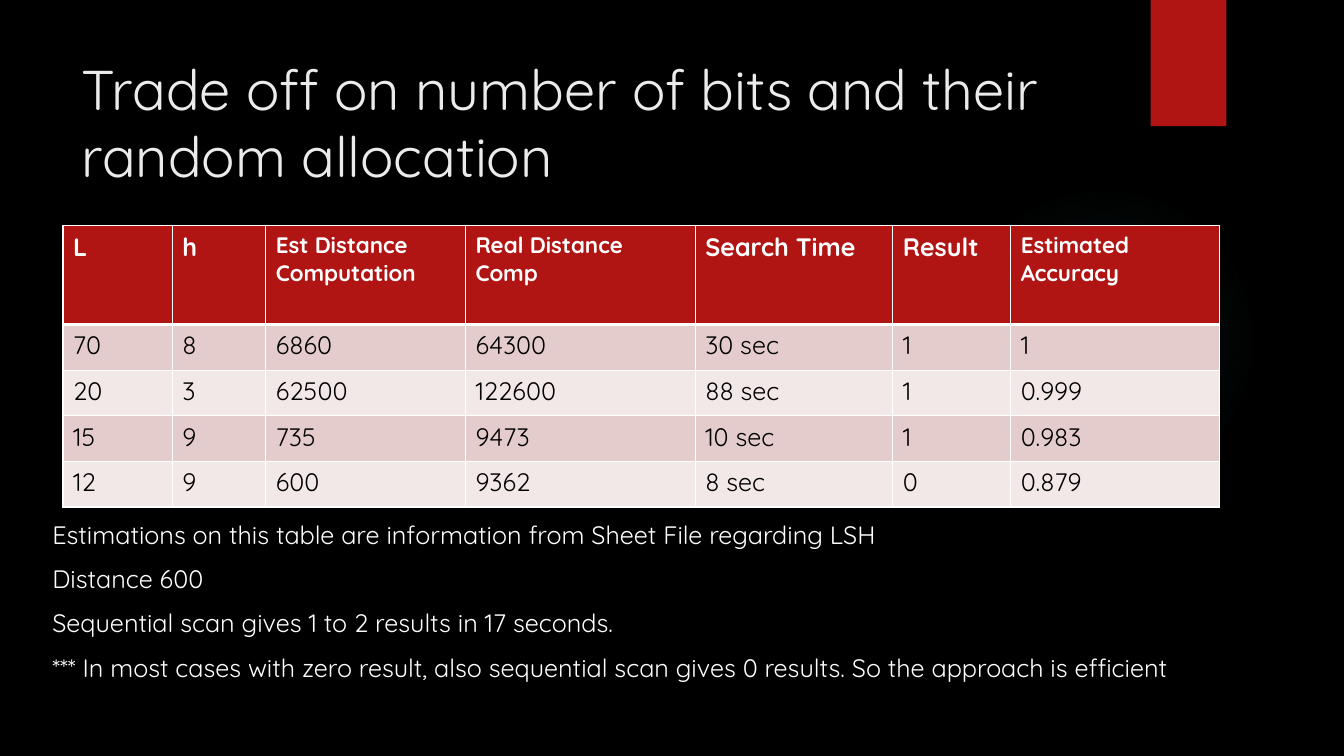
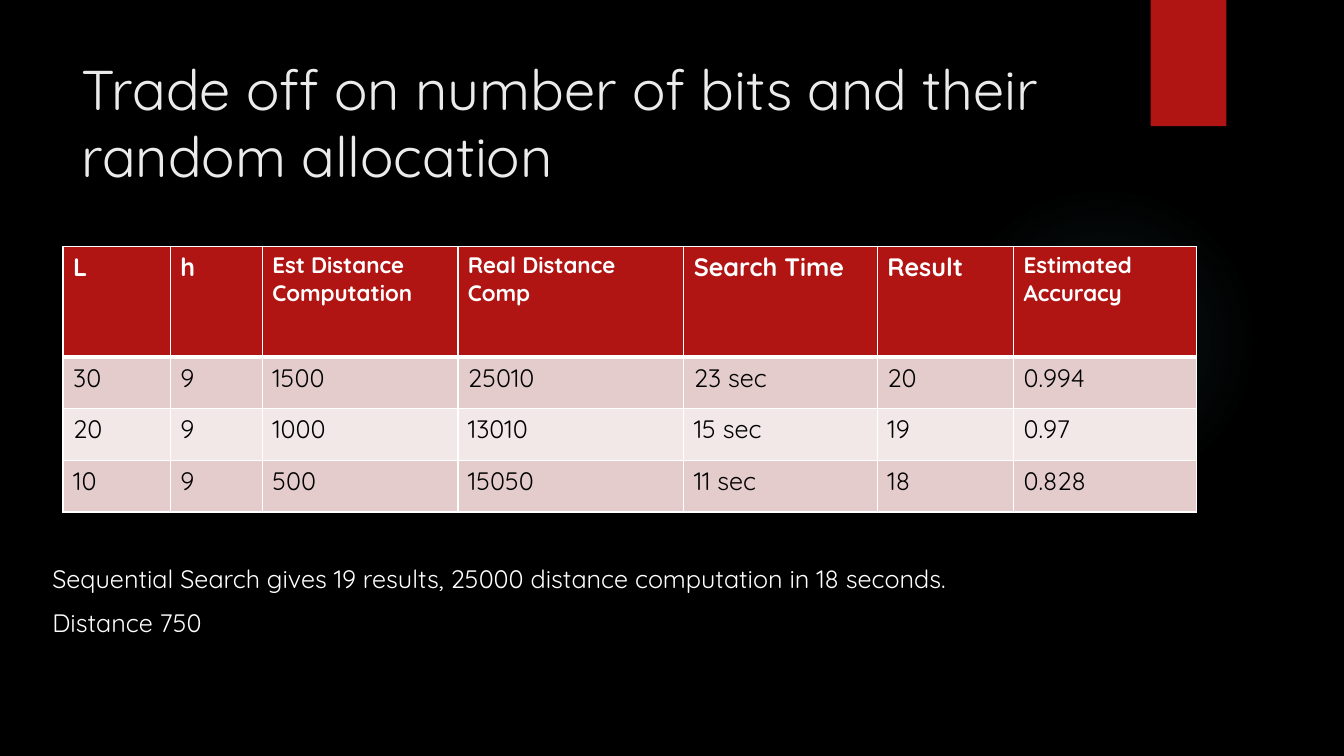
import lxml.etree
import pptx
import pptx.dml.color
import pptx.enum.shapes
import pptx.oxml
import pptx.oxml.ns
import pptx.util

Cm = pptx.util.Cm
Pt = pptx.util.Pt

FONT = "Quicksand"
BLACK, WHITE, TITLE_COLOUR = "000000", "FFFFFF", "EBEBEB"
RED, GLOW = "B01513", "50B9C1"
BAND_COLOURS = ("E4CCCC", "F2E8E7")
GLOW_STOPS = ((0, 7), (36, 6), (69, 0))  # position and opacity, per cent

TITLE = "Trade off on number of bits and their random allocation"
HEADINGS = (
    ("L", 18),
    ("h", 18),
    ("Est Distance Computation", 16),
    ("Real Distance Comp", 16),
    ("Search Time", 18),
    ("Result", 18),
    ("Estimated Accuracy", 16),
)

# Boxes are left, top, width, height in centimetres.
GLOW_BOX = (23.9, 4.65, 7.82, 7.82)
RIBBON_BOX = (29, 0, 1.91, 3.18)
TITLE_BOX = (1.8, 1.25, 26.14, 3.89)

SLIDES = (
    {
        "table_at": (1.59, 5.69),
        "columns": (2.75, 2.36, 5.03, 5.79, 4.98, 2.97, 5.26),
        "header_height": 2.49,
        "row_height": 1.15,
        "rows": (
            ("70", "8", "6860", "64300", "30 sec", "1", "1"),
            ("20", "3", "62500", "122600", "88 sec", "1", "0.999"),
            ("15", "9", "735", "9473", "10 sec", "1", "0.983"),
            ("12", "9", "600", "9362", "8 sec", "0", "0.879"),
        ),
        "notes_box": (1.07, 12.96, 30.68, 5.5),
        "notes": (
            "Estimations on this table are information from Sheet File regarding LSH",
            "Distance 600",
            "Sequential scan gives 1 to 2 results in 17 seconds.",
            "*** In most cases with zero result, also sequential scan gives 0 results. "
            "So the approach is efficient",
        ),
    },
    {
        "table_at": (1.59, 6.21),
        "columns": (2.7, 2.32, 4.93, 5.69, 4.88, 3.43, 4.62),
        "header_height": 2.79,
        "row_height": 1.3,
        "rows": (
            ("30", "9", "1500", "25010", "23 sec", "20", "0.994"),
            ("20", "9", "1000", "13010", "15 sec", "19", "0.97"),
            ("10", "9", "500", "15050", "11 sec", "18", "0.828"),
        ),
        "notes_box": (1.07, 14.07, 30.68, 4.39),
        "notes": (
            "Sequential Search gives 19 results, 25000 distance computation in 18 seconds.",
            "Distance 750",
        ),
    },
)


def colour(hex_string):
    return pptx.dml.color.RGBColor.from_string(hex_string)


def fill_solid(target, hex_string):
    target.fill.solid()
    target.fill.fore_color.rgb = colour(hex_string)


def style_paragraph(paragraph, size, hex_string, bold=False):
    paragraph.font.name = FONT
    paragraph.font.size = Pt(size)
    paragraph.font.bold = bold
    paragraph.font.color.rgb = colour(hex_string)


def add_plain_shape(slide, kind, box):
    """Add a preset shape without line or shadow."""
    shape = slide.shapes.add_shape(kind, *map(Cm, box))
    shape.shadow.inherit = False
    shape.line.fill.background()
    return shape


def add_glow(slide, box):
    """Add a disc that fades out from its centre."""
    shape = add_plain_shape(slide, pptx.enum.shapes.MSO_SHAPE.OVAL, box)
    stops = "".join(
        f'<a:gs pos="{position * 1000}"><a:srgbClr val="{GLOW}">'
        f'<a:alpha val="{opacity * 1000}"/></a:srgbClr></a:gs>'
        for position, opacity in GLOW_STOPS
    )
    gradient = pptx.oxml.parse_xml(
        f'<a:gradFill {pptx.oxml.ns.nsdecls("a")} rotWithShape="1"><a:gsLst>{stops}</a:gsLst>'
        '<a:path path="circle"><a:fillToRect l="50000" t="50000" r="50000" b="50000"/></a:path>'
        "</a:gradFill>"
    )
    properties = shape.element.spPr
    properties.find(pptx.oxml.ns.qn("a:prstGeom")).addnext(gradient)


def add_ribbon(slide, box):
    shape = add_plain_shape(slide, pptx.enum.shapes.MSO_SHAPE.RECTANGLE, box)
    fill_solid(shape, RED)


def add_text(slide, box, lines, size, hex_string, gap=0):
    """Add a wrapping text box, one paragraph a line, with gap points between them."""
    frame = slide.shapes.add_textbox(*map(Cm, box)).text_frame
    frame.word_wrap = True
    frame.text = "\n".join(lines)
    for paragraph in frame.paragraphs:
        style_paragraph(paragraph, size, hex_string)
        paragraph.space_after = Pt(gap)


def set_borders(cell, top, bottom):
    """Draw white borders; top and bottom widths are in points."""
    properties = cell._tc.get_or_add_tcPr()
    for side, width in (("L", 1), ("R", 1), ("T", top), ("B", bottom)):
        line = lxml.etree.SubElement(
            properties, pptx.oxml.ns.qn(f"a:ln{side}"), w=str(Pt(width))
        )
        fill = lxml.etree.SubElement(line, pptx.oxml.ns.qn("a:solidFill"))
        lxml.etree.SubElement(fill, pptx.oxml.ns.qn("a:srgbClr"), val=WHITE)


def fill_cell(cell, text, size, text_colour, background, bold=False, top=1, bottom=1):
    cell.text = text
    style_paragraph(cell.text_frame.paragraphs[0], size, text_colour, bold)
    set_borders(cell, top, bottom)
    fill_solid(cell, background)


def add_results_table(slide, position, columns, header_height, row_height, rows):
    heights = [header_height] + [row_height] * len(rows)
    table = slide.shapes.add_table(
        len(heights), len(columns), *map(Cm, (*position, sum(columns), sum(heights)))
    ).table
    for column, width in zip(table.columns, columns):
        column.width = Cm(width)
    for row, height in zip(table.rows, heights):
        row.height = Cm(height)
    for index, (heading, size) in enumerate(HEADINGS):
        fill_cell(table.cell(0, index), heading, size, WHITE, RED, bold=True, bottom=3)
    for row_index, values in enumerate(rows, 1):
        background = BAND_COLOURS[(row_index - 1) % 2]
        top = 3 if row_index == 1 else 1
        for index, value in enumerate(values):
            fill_cell(table.cell(row_index, index), value, 18, BLACK, background, top=top)


def add_results_slide(presentation, content):
    slide = presentation.slides.add_slide(presentation.slide_layouts[6])
    add_glow(slide, GLOW_BOX)
    add_ribbon(slide, RIBBON_BOX)
    add_text(slide, TITLE_BOX, [TITLE], 40, TITLE_COLOUR)
    add_text(slide, content["notes_box"], content["notes"], 18, WHITE, gap=10)
    add_results_table(
        slide,
        content["table_at"],
        content["columns"],
        content["header_height"],
        content["row_height"],
        content["rows"],
    )


def main():
    presentation = pptx.Presentation()
    presentation.slide_width = Cm(33.87)
    presentation.slide_height = Cm(19.05)
    fill_solid(presentation.slide_master.background, BLACK)
    for content in SLIDES:
        add_results_slide(presentation, content)
    presentation.save("out.pptx")


if __name__ == "__main__":
    main()
